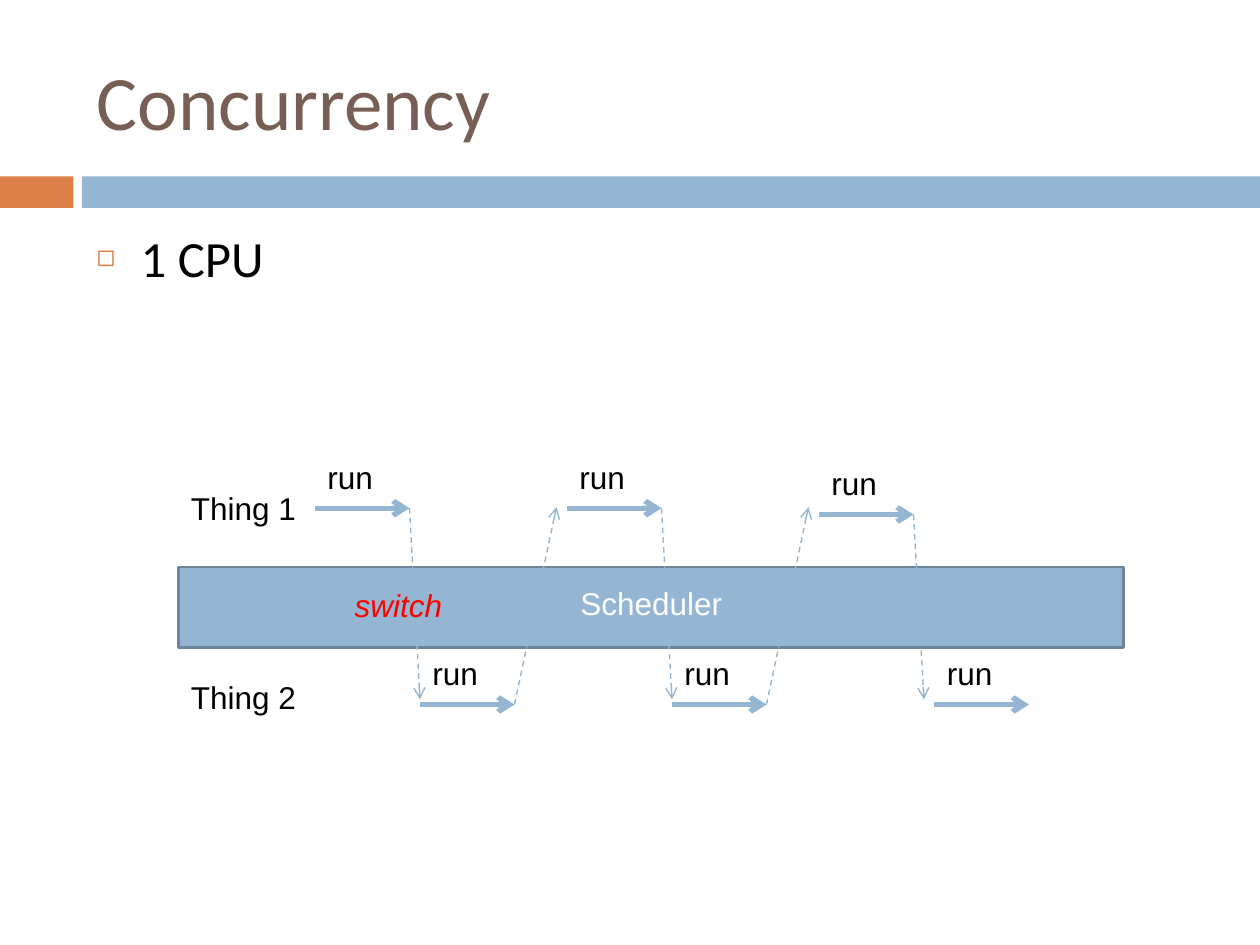
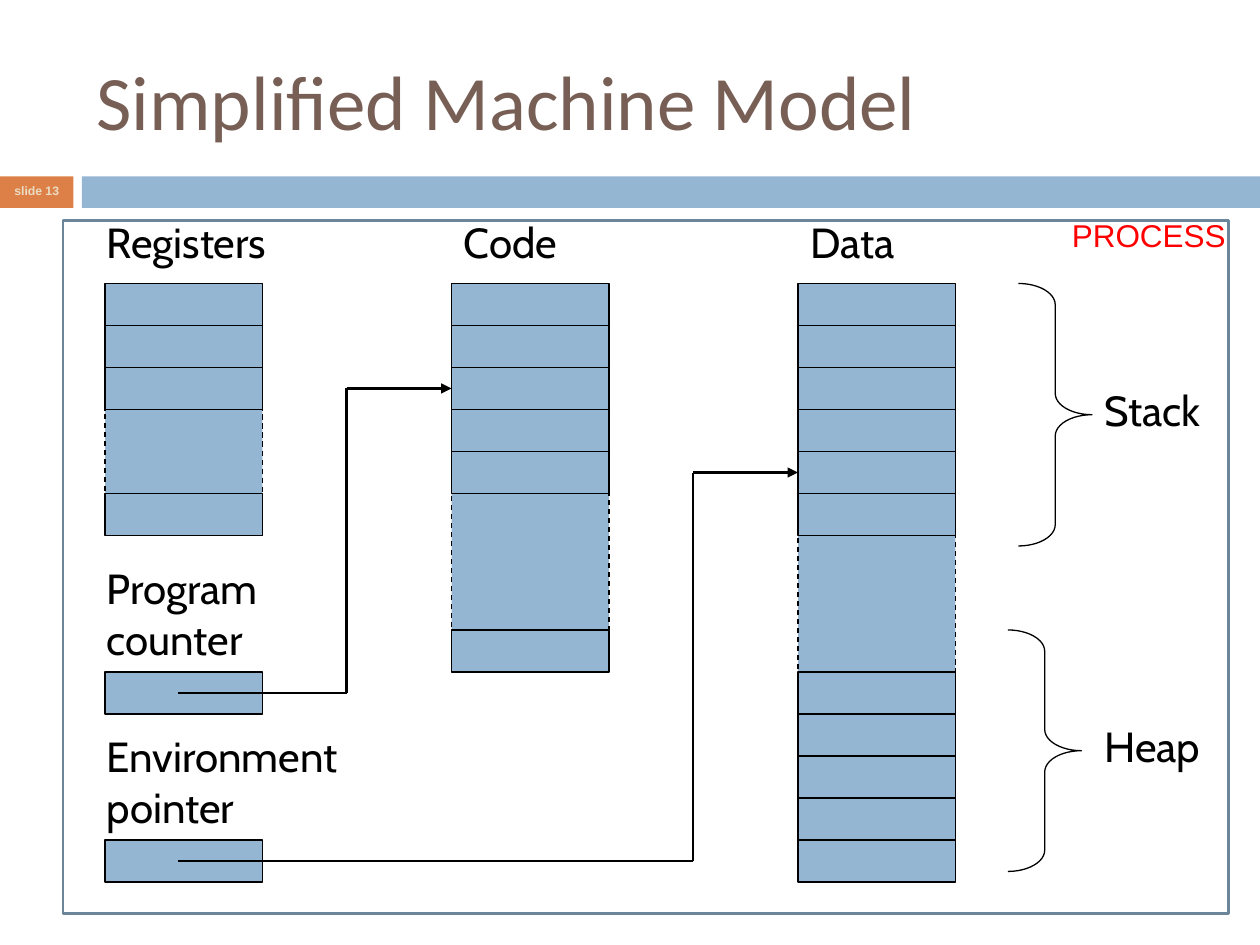
import pptx
import pptx.util
import pptx.dml.color
import pptx.enum.dml
import pptx.enum.shapes
import pptx.enum.text
import pptx.oxml
import pptx.oxml.ns
import lxml.etree

COLORS = {
    "title": "775F55", "orange": "DD8047", "blue": "94B6D2", "edge": "6B859A",
    "sand": "EBDDC3", "black": "000000", "white": "FFFFFF", "red": "FF0000",
}
RGB = {name: pptx.dml.color.RGBColor.from_string(value) for name, value in COLORS.items()}
SHAPES = pptx.enum.shapes.MSO_SHAPE
DASH = pptx.enum.dml.MSO_LINE.DASH
POINT = pptx.util.Pt

presentation = pptx.Presentation()
presentation.slide_width = pptx.util.Inches(10)
presentation.slide_height = pptx.util.Inches(7.5)
# The slide is a grid of 120 columns and 90 rows of equal size.
UNIT = presentation.slide_width / 120


def add_box(slide, cells, fill=None, line=None, width=0.75, dash=None, kind=SHAPES.RECTANGLE):
    """Add a preset shape at (column, row, columns, rows)."""
    shape = slide.shapes.add_shape(kind, *[round(cell * UNIT) for cell in cells])
    shape.shadow.inherit = False
    if fill:
        shape.fill.solid()
        shape.fill.fore_color.rgb = RGB[fill]
    else:
        shape.fill.background()
    if line:
        shape.line.color.rgb = RGB[line]
        shape.line.width = POINT(width)
        shape.line.dash_style = dash
    else:
        shape.line.fill.background()
    return shape


def add_line(slide, start, end, color, width, head=None, dash=None):
    """Connect two (column, row) points, with an optional arrowhead at the end."""
    connector = slide.shapes.add_connector(
        pptx.enum.shapes.MSO_CONNECTOR.STRAIGHT,
        *[round(cell * UNIT) for cell in (*start, *end)])
    connector.line.color.rgb = RGB[color]
    connector.line.width = POINT(width)
    connector.line.dash_style = dash
    if head:
        line_element = connector.line._get_or_add_ln()
        lxml.etree.SubElement(line_element, pptx.oxml.ns.qn("a:tailEnd"), type=head)
    lxml.etree.SubElement(connector._element.spPr, pptx.oxml.ns.qn("a:effectLst"))


# Shared title and bands
slides, number_bands = [], []
for title_text, layout in (("Concurrency", 1), ("Simplified Machine Model", 5)):
    slide = presentation.slides.add_slide(presentation.slide_layouts[layout])
    slides.append(slide)
    number_bands.append(add_box(slide, (0, 16.8, 7, 3), "orange"))
    add_box(slide, (7.8, 16.8, 112.2, 3), "blue")
    title = slide.shapes.title
    title.left, title.top, title.width, title.height = [
        round(cell * UNIT) for cell in (8, 3, 107, 13)]
    title.text_frame.text = title_text
    title.text_frame.auto_size = pptx.enum.text.MSO_AUTO_SIZE.NONE
    title.text_frame.vertical_anchor = pptx.enum.text.MSO_ANCHOR.MIDDLE
    paragraph = title.text_frame.paragraphs[0]
    paragraph.alignment = pptx.enum.text.PP_ALIGN.LEFT
    paragraph.font.name = "Calibri"
    paragraph.font.size = POINT(44)
    paragraph.font.color.rgb = RGB["title"]
concurrency, machine = slides

# Concurrency: bullet list
body = concurrency.placeholders[1]
body.left, body.top, body.width, body.height = [round(cell * UNIT) for cell in (8, 21, 107, 59)]
body.text_frame.text = "1 CPU"
body.text_frame.auto_size = pptx.enum.text.MSO_AUTO_SIZE.NONE
paragraph = body.text_frame.paragraphs[0]
properties = paragraph._p.get_or_add_pPr()
indent = pptx.util.Inches(0.35)
properties.set("marL", str(indent))
properties.set("indent", str(-indent))
namespace = pptx.oxml.ns.nsdecls("a")
for bullet_part in (
    f'<a:buClr {namespace}><a:srgbClr val="{COLORS["orange"]}"/></a:buClr>',
    f'<a:buSzPct {namespace} val="60000"/>',
    f'<a:buChar {namespace} char="◻"/>',
):
    properties.append(pptx.oxml.parse_xml(bullet_part))
paragraph.space_before = POINT(0)
paragraph.font.name = "Calibri"
paragraph.font.size = POINT(29)
paragraph.font.color.rgb = RGB["black"]

# Concurrency: scheduler, runs and switches
add_box(concurrency, (17, 54, 90, 7.7), "blue", "edge", 1.5)
RUN_LENGTH = 9
first_runs = [(30, 48.4), (54, 48.4), (78, 49)]
second_runs = [(40, 67.1), (64, 67.1), (89, 67.1)]
# Label: slide, text, column, row, columns, size, font, color
labels = [
    (concurrency, "Thing 1", 17, 46, 14, 18, "Arial", "black"),
    (concurrency, "Thing 2", 17, 64, 14, 18, "Arial", "black"),
    (concurrency, "switch", 32.6, 55.2, 13, 18, "Arial", "red"),
    (concurrency, "Scheduler", 54.1, 55, 19, 18, "Arial", "white"),
]
for column, row in first_runs + second_runs:
    add_line(concurrency, (column, row), (column + RUN_LENGTH, row), "blue", 3, "arrow")
    labels.append((concurrency, "run", column, row - 5.4, 9, 18, "Arial", "black"))
switches = [((column + RUN_LENGTH, row), (column + 10, 66.6)) for column, row in first_runs]
switches += [((column + RUN_LENGTH, row), (column + 13, 48.3)) for column, row in second_runs[:2]]
for start, end in switches:
    add_line(concurrency, start, end, "blue", 0.79, "arrow", DASH)

# Machine model: slide number
frame = number_bands[1].text_frame
frame.text = "slide 13"
frame.word_wrap = False
frame.margin_left = frame.margin_right = frame.margin_top = frame.margin_bottom = 0
frame.vertical_anchor = pptx.enum.text.MSO_ANCHOR.MIDDLE
paragraph = frame.paragraphs[0]
paragraph.alignment = pptx.enum.text.PP_ALIGN.CENTER
paragraph.line_spacing = 0.8
paragraph.font.name = "Arial"
paragraph.font.size = POINT(7)
paragraph.font.bold = True
paragraph.font.color.rgb = RGB["sand"]

# Machine model: stacks of memory cells, with a dashed gap in each long one
CELL_WIDTH, CELL_HEIGHT = 15, 4
REGISTERS, CODE, DATA = 10, 43, 76
COUNTER_TOP, ENVIRONMENT_TOP = 64, 80
for column, top, cells_above, gap, cells_below in (
    (REGISTERS, 27, 3, 8, 1),
    (CODE, 27, 5, 13, 1),
    (DATA, 27, 6, 13, 5),
    (REGISTERS, COUNTER_TOP, 1, 0, 0),
    (REGISTERS, ENVIRONMENT_TOP, 1, 0, 0),
):
    gap_top = top + cells_above * CELL_HEIGHT
    if gap:
        add_box(machine, (column, gap_top, CELL_WIDTH, gap), "blue", "black", dash=DASH)
    cell_tops = [top + index * CELL_HEIGHT for index in range(cells_above)]
    cell_tops += [gap_top + gap + index * CELL_HEIGHT for index in range(cells_below)]
    for cell_top in cell_tops:
        add_box(machine, (column, cell_top, CELL_WIDTH, CELL_HEIGHT), "blue", "black")

# Machine model: braces, pointers and frame
for brace_cells in ((97, 27, 7, 25), (96, 60, 7, 23)):
    brace = add_box(machine, brace_cells, line="black", kind=SHAPES.RIGHT_BRACE)
    brace.adjustments[0] = 0.29
for pointer_top, bend, target, target_row in (
    (COUNTER_TOP, 33, CODE, 37),
    (ENVIRONMENT_TOP, 66, DATA, 45),
):
    pointer_row = pointer_top + CELL_HEIGHT / 2
    add_line(machine, (17, pointer_row), (bend, pointer_row), "black", 1.5)
    add_line(machine, (bend, pointer_row), (bend, target_row), "black", 1.5)
    add_line(machine, (bend, target_row), (target, target_row), "black", 1.5, "triangle")
add_box(machine, (6, 21, 111, 66), line="edge", width=1.5)

labels += [(machine, text, column, row, columns, 24, "Cabin", "black")
           for text, column, row, columns in (
               ("Registers", REGISTERS - 1, 20, 25),
               ("Code", CODE, 20, 25),
               ("Data", DATA, 20, 25),
               ("Program counter", REGISTERS - 1, 53, 25),
               ("Environment pointer", REGISTERS - 1, 69, 25),
               ("Stack", 104, 36, 13),
               ("Heap", 104, 68, 12))]
labels.append((machine, "PROCESS", 100.9, 20, 19, 18, "Arial", "red"))

# Labels of both slides
for slide, text, column, row, columns, size, font, color in labels:
    text_box = slide.shapes.add_textbox(
        *[round(cell * UNIT) for cell in (column, row, columns, size / 4)])
    text_box.text_frame.text = text
    text_box.text_frame.word_wrap = True
    paragraph = text_box.text_frame.paragraphs[0]
    paragraph.font.name = font
    paragraph.font.size = POINT(size)
    paragraph.font.color.rgb = RGB[color]
    paragraph.font.italic = text == "switch"

presentation.save("out.pptx")
